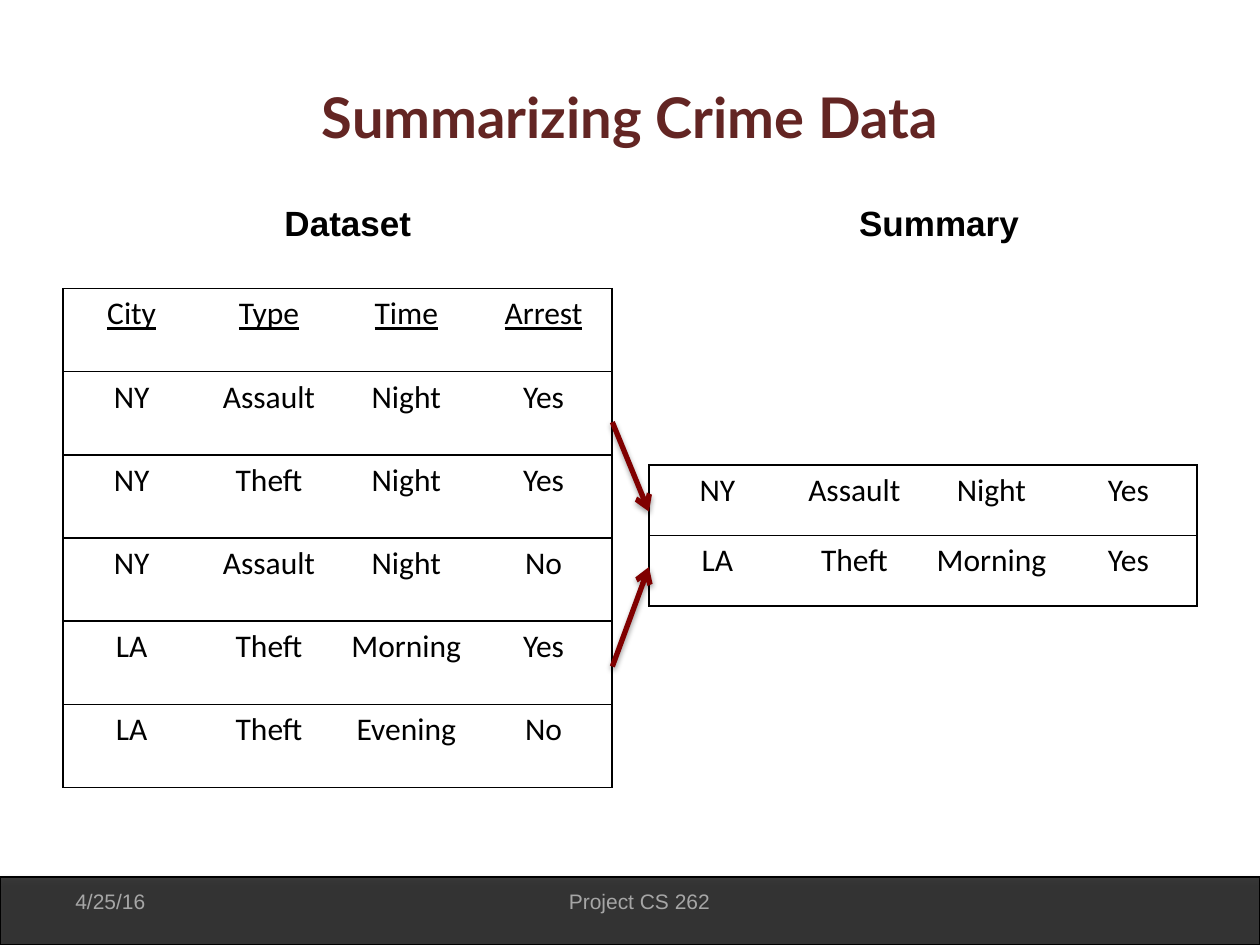
from lxml import etree
from pptx import Presentation
from pptx import util as u
from pptx.dml.color import RGBColor
from pptx.enum import shapes, text
from pptx.oxml import parse_xml

NS = 'xmlns:a="http://schemas.openxmlformats.org/drawingml/2006/main"'
SOLID = '<a:solidFill><a:srgbClr val="000000"/></a:solidFill>'
SHADOW = ('<a:effectLst {}><a:outerShdw blurRad="40000" dist="{}" dir="5400000" rotWithShape="0">'
          '<a:srgbClr val="000000"><a:alpha val="{}000"/></a:srgbClr></a:outerShdw></a:effectLst>')
color = RGBColor.from_string
inch = u.Inches

deck = Presentation()
deck.slide_width, deck.slide_height = inch(10), inch(7.5)
page = deck.slides.add_slide(deck.slide_layouts[5])
page.background.fill.solid()
page.background.fill.fore_color.rgb = color("FFFFFF")


def write(frame, words, name, size, ink, align="LEFT", **format_values):
    para = frame.paragraphs[0]
    para.alignment = getattr(text.PP_ALIGN, align)
    span = para.add_run()
    span.text = words
    span.font.color.rgb = color(ink)
    for key, value in dict(name=name, size=u.Pt(size), **format_values).items():
        setattr(span.font, key, value)


# Footer band
band = page.shapes.add_shape(shapes.MSO_SHAPE.RECTANGLE, 0, inch(6.96), inch(10), inch(0.54))
band.fill.solid()
band.fill.fore_color.rgb = color("262626")
fill_color = band.fill._xPr.find(".//{*}solidFill/{*}srgbClr")
etree.SubElement(fill_color, fill_color.tag.replace("srgbClr", "alpha"), val="90000")
band.line.color.rgb = color("000000")
band.line.width = u.Pt(0.75)
band._element.spPr.append(parse_xml(SHADOW.format(NS, 23000, 35)))

# Title
title = page.shapes.title
title.left, title.top, title.width, title.height = map(inch, (0.5, 0.3, 9, 1.25))
title.text_frame.vertical_anchor = text.MSO_ANCHOR.MIDDLE
write(title.text_frame, "Summarizing Crime Data", "Lato", 32, "632523", "CENTER", bold=True)

# Footer texts and table headings
footer = dict(size=12, ink="A6A6A6")
heading = dict(size=20, ink="000000", bold=True)
for words, place, look in (
    ("4/25/16", (0.5, 6.95, 2.33, 0.4), footer),
    ("Project CS 262", (3.42, 6.95, 3.31, 0.4), dict(footer, align="CENTER")),
    ("Dataset", (2.16, 1.55, 1.23, 0.44), heading),
    ("Summary", (6.72, 1.55, 1.48, 0.44), heading),
):
    box = page.shapes.add_textbox(*map(inch, place))
    box.text_frame.word_wrap = "bold" not in look
    if "bold" in look:
        box.text_frame.auto_size = text.MSO_AUTO_SIZE.SHAPE_TO_FIT_TEXT
    else:
        box.text_frame.vertical_anchor = text.MSO_ANCHOR.MIDDLE
    write(box.text_frame, words, "Arial", **look)

# Tables: outlined rows without inner column lines
dataset = ["City Type Time Arrest", "NY Assault Night Yes", "NY Theft Night Yes",
           "NY Assault Night No", "LA Theft Morning Yes", "LA Theft Evening No"]
summary = ["NY Assault Night Yes", "LA Theft Morning Yes"]
for records, left, top, width, row_height in (
    (dataset, 0.5, 2.29, 4.36, 0.66),
    (summary, 5.15, 3.69, 4.35, 0.56),
):
    rows = [record.split() for record in records]
    count = len(rows[0])
    frame = page.shapes.add_table(len(rows), count, inch(left), inch(top),
                                  inch(width), inch(row_height * len(rows)))
    table = frame.table
    table.first_row = table.horz_banding = False
    for row in table.rows:
        row.height = inch(row_height)
    for r, row in enumerate(rows):
        for c, words in enumerate(row):
            cell = table.cell(r, c)
            write(cell.text_frame, words, "Calibri", 18, "000000", "CENTER",
                  underline=words in dataset[0].split())
            properties = cell._tc.get_or_add_tcPr()
            drawn = {"L": c == 0, "R": c == count - 1, "T": True, "B": True}
            for side, shown in drawn.items():
                paint = SOLID if shown else "<a:noFill/>"
                properties.append(parse_xml(f'<a:ln{side} {NS} w="12700">{paint}</a:ln{side}>'))
            cell.fill.background()

# Arrows from dataset rows to summary rows
for start, end in ((5.29, 4.5), (3.35, 4.06)):
    arrow = page.shapes.add_connector(shapes.MSO_CONNECTOR.STRAIGHT, inch(4.86), inch(start),
                                      inch(5.15), inch(end))
    arrow.line.color.rgb = color("800000")
    arrow.line.width = u.Pt(3)
    arrow.line._get_or_add_ln().append(parse_xml(f'<a:tailEnd {NS} type="arrow"/>'))
    arrow._element.spPr.append(parse_xml(SHADOW.format(NS, 20000, 38)))

deck.save("out.pptx")
